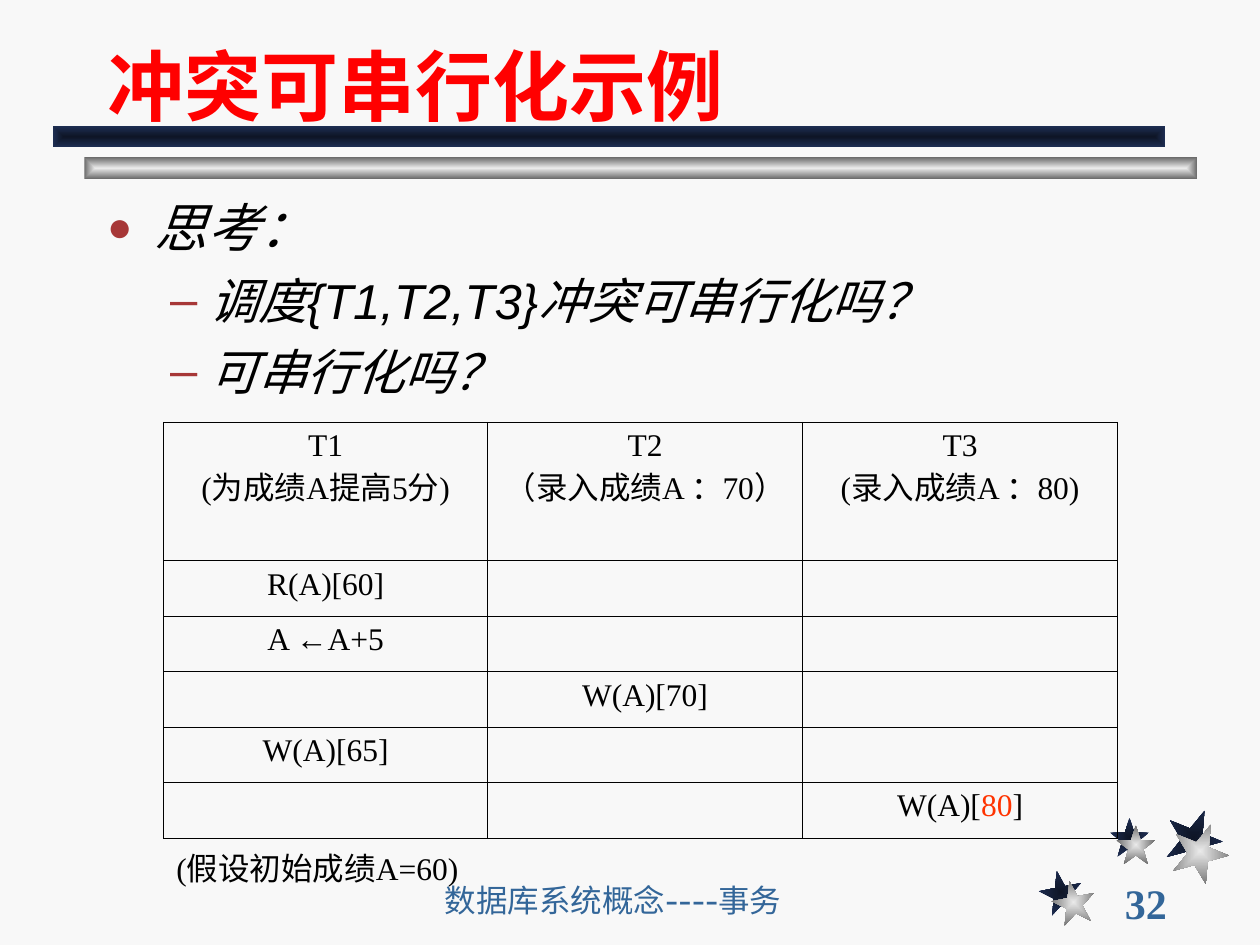
"""Build the slide on conflict serializability with its schedule table."""
from lxml import etree
from pptx import Presentation
from pptx import util as u
from pptx.dml.color import RGBColor
from pptx.enum import shapes, text
from pptx.oxml.ns import qn

BACKGROUND = RGBColor(0xF8, 0xF8, 0xF8)
BLACK = RGBColor(0, 0, 0)
RED = RGBColor(0xFF, 0, 0)
ORANGE = RGBColor(0xFF, 0x33, 0)
STEEL = RGBColor(0x33, 0x66, 0x99)
MAROON = RGBColor(0xA7, 0x37, 0x37)
NAVY = (RGBColor(0x0E, 0x15, 0x26), RGBColor(0x1E, 0x2E, 0x53))
SILVER = (RGBColor(0xEA, 0xEA, 0xEA), RGBColor(0x6C, 0x6C, 0x6C))
SERIF = "Times New Roman"

TITLE = "冲突可串行化示例"
FOOTER = "数据库系统概念----事务"
PAGE = "32"
QUESTIONS = [
    (0, "思考："),
    (1, "调度{T1,T2,T3}冲突可串行化吗？"),
    (1, "可串行化吗？"),
]
LEVELS = [
    dict(size=30, before=7.5, left=0.38, hang=0.38, bullet="●", bullet_size=80),
    dict(size=28, before=7, left=0.81, hang=0.31, bullet="–", bullet_size=100),
]
SCHEDULE = [
    ["T1\n(为成绩A提高5分)", "T2\n（录入成绩A ：70）", "T3\n(录入成绩A ：80)"],
    ["R(A)[60]", "", ""],
    ["A ←A+5", "", ""],
    ["", "W(A)[70]", ""],
    ["W(A)[65]", "", ""],
    ["", "", "W(A)[|80|]"],
]
ASSUMPTION = "(假设初始成绩A=60)"
COLUMN_WIDTHS = [2.57, 2.5, 2.5]
HEADER_HEIGHT, ROW_HEIGHT = 1.1, 0.44
BARS = [(0.67, 1.25, SILVER), (0.42, 1, NAVY)]
STARS = [
    (NAVY, [(8.25, 6.91, 0.34, -11), (8.81, 6.49, 0.31, 0), (9.25, 6.42, 0.45, 22)]),
    (SILVER, [(8.35, 6.99, 0.34, -11), (8.86, 6.55, 0.31, 0), (9.3, 6.53, 0.45, 22)]),
]


def write(paragraph, content, size=18, font=SERIF, color=BLACK, accent=ORANGE,
          bold=False, italic=False, align=text.PP_ALIGN.LEFT, before=0,
          left=0, hang=0, bullet=None, bullet_size=100):
    """Format a paragraph; text between bars takes the accent colour."""
    paragraph.alignment = align
    paragraph.space_before = u.Pt(before)
    properties = paragraph._p.get_or_add_pPr()
    properties.set("marL", str(u.Inches(left)))
    properties.set("indent", str(-u.Inches(hang)))
    if bullet:
        tint = etree.SubElement(properties, qn("a:buClr"))
        etree.SubElement(tint, qn("a:srgbClr"), val=str(MAROON))
        etree.SubElement(properties, qn("a:buSzPct"), val=str(bullet_size * 1000))
        etree.SubElement(properties, qn("a:buFont"), typeface="Arial")
        etree.SubElement(properties, qn("a:buChar"), char=bullet)
    for index, part in enumerate(content.split("|")):
        run = paragraph.add_run()
        run.text = part
        run.font.size = u.Pt(size)
        run.font.name = font
        run.font.bold = bold
        run.font.italic = italic
        run.font.color.rgb = accent if index % 2 else color


def place(shape, left, top, width, height):
    shape.left, shape.top = u.Inches(left), u.Inches(top)
    shape.width, shape.height = u.Inches(width), u.Inches(height)


def add_ornament(slide, kind, left, top, width, height, colors, rotation=0):
    ornament = slide.shapes.add_shape(
        kind, u.Inches(left), u.Inches(top), u.Inches(width), u.Inches(height))
    ornament.rotation = rotation
    ornament.shadow.inherit = False
    ornament.line.fill.background()
    ornament.fill.gradient()
    for stop, color in zip(ornament.fill.gradient_stops, colors):
        stop.color.rgb = color
    gradient = ornament._element.spPr.find(qn("a:gradFill"))
    gradient.remove(gradient.find(qn("a:lin")))
    rectangle = etree.SubElement(gradient, qn("a:path"), path="rect")
    etree.SubElement(rectangle, qn("a:fillToRect"), l="50000", t="50000", r="50000", b="50000")


def add_label(slide, left, top, width, height, content, anchor, wrap, **style):
    label = slide.shapes.add_textbox(
        u.Inches(left), u.Inches(top), u.Inches(width), u.Inches(height))
    label.text_frame.word_wrap = wrap
    label.text_frame.vertical_anchor = anchor
    write(label.text_frame.paragraphs[0], content, color=STEEL, **style)


def set_borders(cell, visible):
    properties = cell._tc.get_or_add_tcPr()
    for index, side in enumerate(("lnL", "lnR", "lnT", "lnB")):
        border = etree.Element(qn(f"a:{side}"), w=str(u.Pt(0.45)))
        if side in visible:
            fill = etree.SubElement(border, qn("a:solidFill"))
            etree.SubElement(fill, qn("a:srgbClr"), val=str(BLACK))
        else:
            etree.SubElement(border, qn("a:noFill"))
        properties.insert(index, border)


def add_schedule(slide):
    rows = SCHEDULE + [[ASSUMPTION, "", ""]]
    heights = [HEADER_HEIGHT] + [ROW_HEIGHT] * (len(rows) - 1)
    table = slide.shapes.add_table(
        len(rows), len(COLUMN_WIDTHS), u.Inches(1.3), u.Inches(3.35),
        u.Inches(sum(COLUMN_WIDTHS)), u.Inches(sum(heights))).table
    table.first_row = table.horz_banding = False
    for column, width in zip(table.columns, COLUMN_WIDTHS):
        column.width = u.Inches(width)
    for row, height in zip(table.rows, heights):
        row.height = u.Inches(height)
    last = len(rows) - 1
    table.cell(last, 0).merge(table.cell(last, len(COLUMN_WIDTHS) - 1))
    for r, entries in enumerate(rows):
        align = text.PP_ALIGN.LEFT if r == last else text.PP_ALIGN.CENTER
        for c, entry in enumerate(entries):
            cell = table.cell(r, c)
            cell.fill.background()
            set_borders(cell, ("lnT",) if r == last else ("lnL", "lnR", "lnT", "lnB"))
            if entry:
                for index, line in enumerate(entry.split("\n")):
                    frame = cell.text_frame
                    paragraph = frame.add_paragraph() if index else frame.paragraphs[0]
                    write(paragraph, line, align=align, left=0.38, hang=0.38)


def main():
    deck = Presentation()
    deck.slide_width, deck.slide_height = u.Inches(10), u.Inches(7.5)
    slide = deck.slides.add_slide(deck.slide_layouts[1])
    slide.background.fill.solid()
    slide.background.fill.fore_color.rgb = BACKGROUND

    for colors, stars in STARS:
        for left, top, size, rotation in stars:
            add_ornament(slide, shapes.MSO_SHAPE.STAR_5_POINT, left, top, size, size,
                         colors, rotation)
    for left, top, colors in BARS:
        add_ornament(slide, shapes.MSO_SHAPE.RECTANGLE, left, top, 8.83, 0.17, colors)

    add_label(slide, 8.83, 7, 1.08, 0.33, PAGE, text.MSO_ANCHOR.MIDDLE, False,
              size=24, bold=True)
    add_label(slide, 3.43, 6.98, 4.49, 0.36, FOOTER, text.MSO_ANCHOR.BOTTOM, True,
              font="Cabin")

    title, body = slide.shapes.title, slide.placeholders[1]
    place(title, 0.75, 0.17, 8.5, 0.92)
    place(body, 0.75, 1.5, 8.5, 1.78)
    for holder in (title, body):
        holder.text_frame.auto_size = text.MSO_AUTO_SIZE.NONE
        slide.shapes._spTree.append(holder._element)
    title.text_frame.vertical_anchor = text.MSO_ANCHOR.BOTTOM
    write(title.text_frame.paragraphs[0], TITLE, size=44, font="Arial", color=RED, bold=True)

    for index, (level, question) in enumerate(QUESTIONS):
        frame = body.text_frame
        paragraph = frame.add_paragraph() if index else frame.paragraphs[0]
        paragraph.level = level
        style = dict(LEVELS[level])
        if index == 0:
            style["before"] = 0
        write(paragraph, question, font="Arial", italic=True, **style)

    add_schedule(slide)
    deck.save("out.pptx")


if __name__ == "__main__":
    main()
